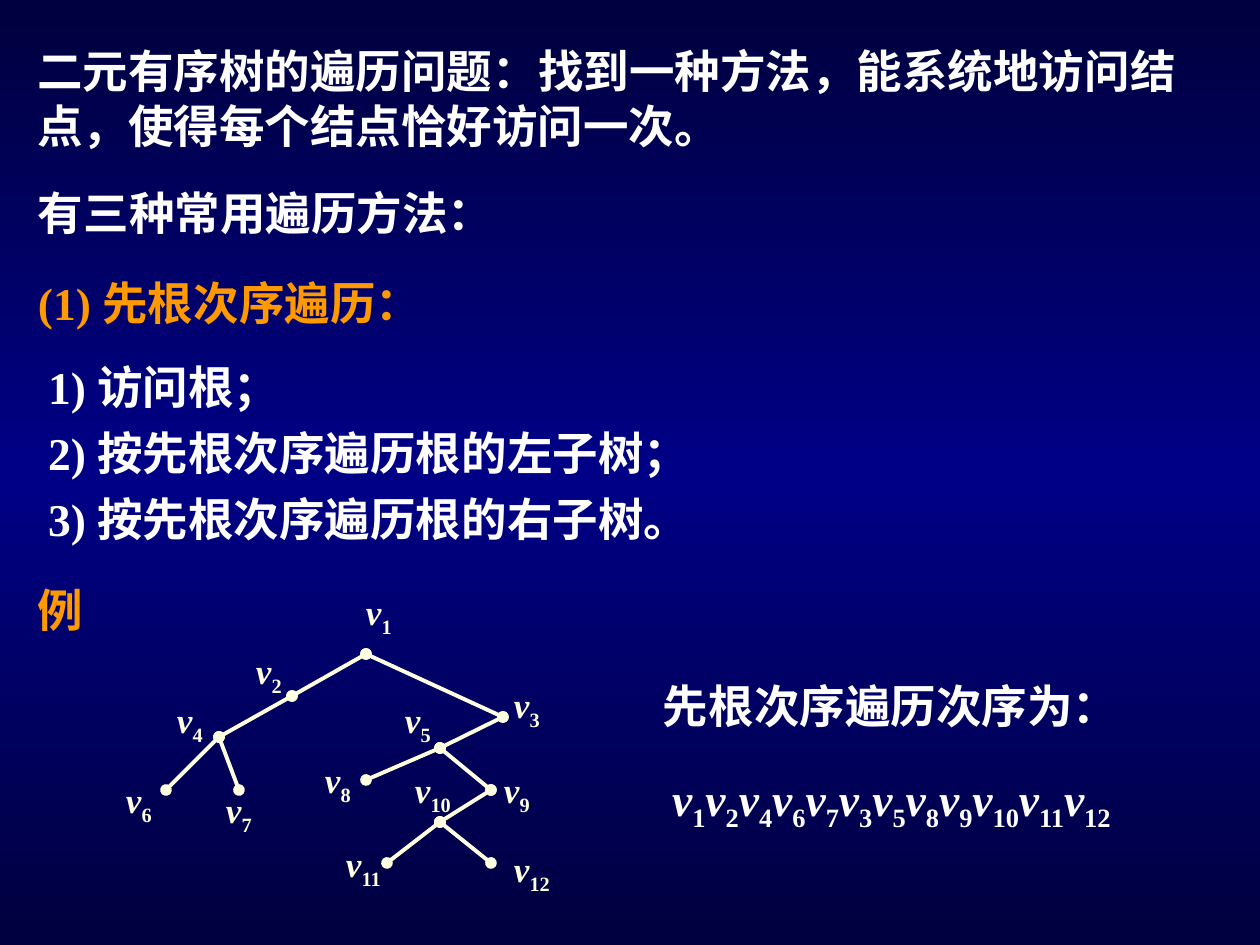
from copy import deepcopy

from pptx import Presentation
from pptx.dml.color import RGBColor
from pptx.enum.shapes import MSO_CONNECTOR
from pptx.enum.text import MSO_ANCHOR, MSO_AUTO_SIZE, PP_ALIGN
from pptx.oxml.ns import qn
from pptx.util import Emu, Pt
from lxml.etree import SubElement

PX = 914400 / 126
COLORS = {"edge": "00003E", "middle": "000086", "text": "FFFFFF",
          "accent": "FF9900", "tree": "FFFFE1"}
SERIF, SANS, CHINESE = "Times New Roman", "Arial", "Noto Sans CJK SC"
LINE = 31.5  # points

# node: (x, y, label left, label top), relative to the tree box
NODES = {
    1: (253, 72, 240, 0), 2: (179, 114, 130, 59), 3: (390, 135, 388, 93),
    4: (106, 155, 51, 108), 5: (327, 166, 279, 108), 6: (53, 208, 0, 188),
    7: (126, 208, 100, 198), 8: (253, 198, 199, 168), 9: (378, 208, 378, 178),
    10: (327, 240, 289, 178), 11: (274, 281, 220, 252), 12: (378, 281, 388, 257),
}
CHILDREN = {1: (2, 3), 2: (4,), 4: (6, 7), 3: (5,), 5: (8, 9), 9: (10,), 10: (11, 12)}


def px(value):
    return Emu(round(value * PX))


def color(name):
    return RGBColor.from_string(COLORS[name])


def preorder(node):
    order = [node]
    for child in CHILDREN.get(node, ()):
        order += preorder(child)
    return order


def place(shape, box, indent=13, drop=9, wrap=True):
    """Moves a text shape to a box and sets its margins."""
    shape.left, shape.top, shape.width, shape.height = map(px, box)
    frame = shape.text_frame
    frame.auto_size = MSO_AUTO_SIZE.NONE
    frame.word_wrap = wrap
    frame.vertical_anchor = MSO_ANCHOR.TOP
    frame.margin_left, frame.margin_right = px(indent), px(13)
    frame.margin_top, frame.margin_bottom = px(drop), px(3)
    return frame


def add_run(paragraph, text, size=26, font=SERIF, fill="text", italic=False, subscript=False):
    run = paragraph.add_run()
    run.text = text
    run.font.size, run.font.name = Pt(size), font
    run.font.bold, run.font.italic = True, italic
    run.font.color.rgb = color(fill)
    properties = run.font._element
    SubElement(properties, qn("a:ea")).set("typeface", CHINESE)
    if subscript:
        properties.set("baseline", "-25000")


def format_paragraph(paragraph, spacing=LINE):
    properties = paragraph._p.get_or_add_pPr()
    properties.set("marL", "0")
    properties.set("indent", "0")
    SubElement(properties, qn("a:buNone"))
    paragraph.alignment = PP_ALIGN.LEFT
    paragraph.space_before = Pt(0)
    paragraph.line_spacing = Pt(spacing)


def add_text(slide, box, text, **style):
    frame = place(slide.shapes.add_textbox(0, 0, 0, 0), box)
    format_paragraph(frame.paragraphs[0])
    add_run(frame.paragraphs[0], text, **style)


def add_vertices(paragraph, vertices, **style):
    """Writes v with a subscript for each vertex."""
    for vertex in vertices:
        add_run(paragraph, "v", italic=True, **style)
        add_run(paragraph, str(vertex), subscript=True, **style)


def set_background(slide):
    fill = slide.background.fill
    fill.gradient()
    fill.gradient_angle = 90
    stops = slide.element.find(".//" + qn("a:gsLst"))
    stops.append(deepcopy(stops[0]))
    for stop, position, name in zip(fill.gradient_stops, (0, 0.5, 1), ("edge", "middle", "edge")):
        stop.position = position
        stop.color.rgb = color(name)


def fill_title(slide, box):
    paragraph = place(slide.shapes.title, box).paragraphs[0]
    format_paragraph(paragraph)
    add_run(paragraph, "二元有序树的遍历问题：")
    add_run(paragraph, "找到一种方法，能系统地访问结点，使得每个结点恰好访问一次。", font=SANS)


def fill_steps(slide, box):
    frame = place(slide.placeholders[1], box, indent=24)
    steps = ("访问根；", "按先根次序遍历根的左子树；", "按先根次序遍历根的右子树。")
    for number, step in enumerate(steps, 1):
        paragraph = frame.paragraphs[0] if number == 1 else frame.add_paragraph()
        format_paragraph(paragraph, spacing=LINE * 1.2)
        add_run(paragraph, f"{number}) {step}")


def add_edge(group, start, end):
    edge = group.shapes.add_connector(MSO_CONNECTOR.STRAIGHT, *map(px, start + end))
    edge.line.color.rgb = color("tree")
    edge.line.width = Pt(2.25)
    line = edge.line._get_or_add_ln()
    for tag in ("a:headEnd", "a:tailEnd"):
        SubElement(line, qn(tag)).set("type", "oval")
    SubElement(edge._element.spPr, qn("a:effectLst"))


def add_tree(slide, left, top):
    group = slide.shapes.add_group_shape()
    points = {node: (left + x, top + y) for node, (x, y, _, _) in NODES.items()}
    for parent, children in CHILDREN.items():
        for child in children:
            add_edge(group, points[parent], points[child])
    for node, (_, _, x, y) in NODES.items():
        label = group.shapes.add_textbox(0, 0, 0, 0)
        frame = place(label, (left + x, top + y, 74, 60), wrap=False)
        add_vertices(frame.paragraphs[0], [node], size=20, fill="tree")


def add_result(slide, left, top):
    add_text(slide, (left, top, 546, 68), "先根次序遍历次序为：", font=SANS)
    box = slide.shapes.add_textbox(0, 0, 0, 0)
    frame = place(box, (left + 9, top + 92, 536, 76), drop=11)
    add_vertices(frame.paragraphs[0], preorder(1))


def main():
    presentation = Presentation()
    presentation.slide_width, presentation.slide_height = px(1260), px(945)
    slide = presentation.slides.add_slide(presentation.slide_layouts[1])
    set_background(slide)
    fill_title(slide, (24, 33, 1192, 122))
    add_text(slide, (25, 175, 586, 68), "有三种常用遍历方法：", font=SANS)
    add_text(slide, (25, 265, 478, 68), "(1) 先根次序遍历：", fill="accent")
    fill_steps(slide, (24, 338, 825, 209))
    add_text(slide, (25, 572, 149, 68), "例", font=SANS, fill="accent")
    add_tree(slide, 113, 582)
    add_result(slide, 650, 668)
    presentation.save("out.pptx")


if __name__ == "__main__":
    main()
